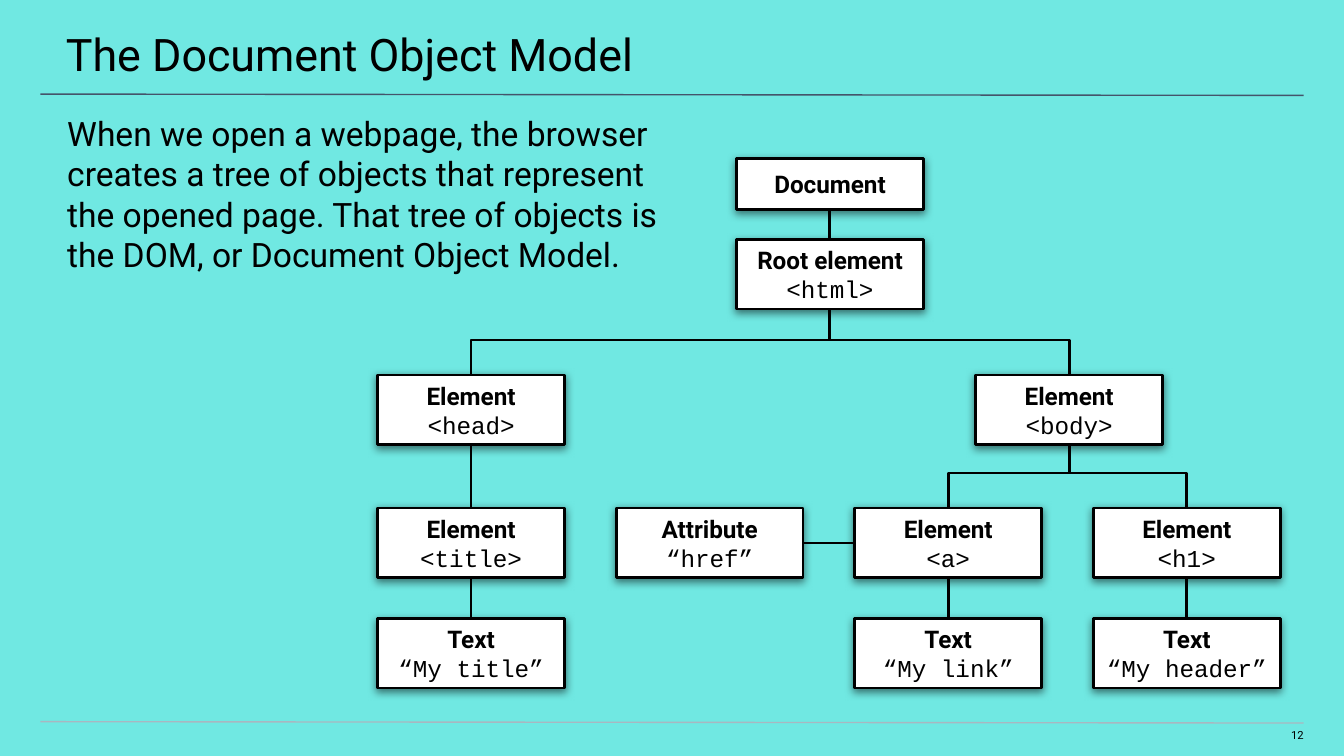
from lxml import etree
from pptx import Presentation
from pptx.dml.color import RGBColor
from pptx.enum.shapes import MSO_CONNECTOR, MSO_SHAPE
from pptx.enum.text import MSO_ANCHOR, MSO_AUTO_SIZE, PP_ALIGN
from pptx.oxml.ns import qn
from pptx.util import Pt

STRAIGHT = MSO_CONNECTOR.STRAIGHT
RECTANGLE = MSO_SHAPE.RECTANGLE
TOP, MIDDLE = MSO_ANCHOR.TOP, MSO_ANCHOR.MIDDLE
LEFT, CENTER, RIGHT = PP_ALIGN.LEFT, PP_ALIGN.CENTER, PP_ALIGN.RIGHT
NO_AUTOFIT = MSO_AUTO_SIZE.NONE

SCALE = 4572
COLORS = {
    "background": "70E8E2",
    "ink": "000000",
    "box": "FFFFFF",
    "header_rule": "44546A",
    "footer_rule": "A9B7C0",
}
SANS, MONO = "Roboto", "Courier New"

BOX_WIDTH, BOX_HEIGHT, DOCUMENT_HEIGHT = 278, 104, 76
COLUMNS = [562 + 355 * column for column in range(4)]
ROOT_LEFT, BODY_LEFT = 1096, 1452
DOCUMENT_TOP, ROOT_TOP, BRANCH_TOP, LEAF_TOP, TEXT_TOP = 236, 356, 558, 756, 920
BRANCH_RISE = 52

NODES = [
    (ROOT_LEFT, ROOT_TOP, "Root element", "<html>"),
    (COLUMNS[0], BRANCH_TOP, "Element", "<head>"),
    (BODY_LEFT, BRANCH_TOP, "Element", "<body>"),
    (COLUMNS[0], LEAF_TOP, "Element", "<title>"),
    (COLUMNS[1], LEAF_TOP, "Attribute", "“href”"),
    (COLUMNS[2], LEAF_TOP, "Element", "<a>"),
    (COLUMNS[3], LEAF_TOP, "Element", "<h1>"),
    (COLUMNS[0], TEXT_TOP, "Text", "“My title”"),
    (COLUMNS[2], TEXT_TOP, "Text", "“My link”"),
    (COLUMNS[3], TEXT_TOP, "Text", "“My header”"),
]


def px(value):
    return value * SCALE


def center(left):
    return left + BOX_WIDTH // 2


class SlideBuilder:
    def __init__(self, slide):
        self.slide = slide
        self.shapes = slide.shapes

    def color(self, name):
        return RGBColor.from_string(COLORS[name])

    def apply(self, target, values):
        for name, value in values.items():
            setattr(target, name, value)

    def background(self):
        fill = self.slide.background.fill
        fill.solid()
        fill.fore_color.rgb = self.color("background")

    def frame(self, shape, insets, anchor=TOP):
        left, top, right, bottom = map(px, insets)
        self.apply(shape.text_frame, {
            "word_wrap": True, "auto_size": NO_AUTOFIT, "vertical_anchor": anchor,
            "margin_left": left, "margin_top": top,
            "margin_right": right, "margin_bottom": bottom,
        })
        return shape.text_frame.paragraphs[0]

    def run(self, paragraph, text, size, font=SANS, bold=False):
        run = paragraph.add_run()
        run.text = text
        self.apply(run.font, {"name": font, "size": Pt(size), "bold": bold})
        run.font.color.rgb = self.color("ink")

    def placeholder(self, index, bounds, insets, text, size):
        shape = self.slide.placeholders[index]
        self.apply(shape, dict(zip(("left", "top", "width", "height"), map(px, bounds))))
        paragraph = self.frame(shape, insets)
        self.apply(paragraph, {"alignment": LEFT, "space_before": Pt(0)})
        self.run(paragraph, text, size)

    def label(self, bounds, insets, text, size):
        shape = self.shapes.add_textbox(*map(px, bounds))
        paragraph = self.frame(shape, insets)
        paragraph.alignment = RIGHT
        self.run(paragraph, text, size)

    def line(self, start, end, color="ink", width=1.5):
        connector = self.shapes.add_connector(STRAIGHT, *map(px, start + end))
        connector.line.color.rgb = self.color(color)
        connector.line.width = Pt(width)
        etree.SubElement(connector._element.spPr, qn("a:effectLst"))

    def branch(self, left, right, bottom):
        top = bottom - BRANCH_RISE
        outline = self.shapes.build_freeform(left, bottom, scale=SCALE)
        outline.add_line_segments([(left, top), (right, top), (right, bottom)], close=False)
        shape = outline.convert_to_shape()
        shape.shadow.inherit = False
        shape.fill.background()
        shape.line.color.rgb = self.color("ink")
        shape.line.width = Pt(1.5)

    def shadow(self, shape):
        shape.shadow.inherit = False
        effects = shape._element.spPr.find(qn("a:effectLst"))
        outer = etree.SubElement(effects, qn("a:outerShdw"), blurRad=str(Pt(4.5)),
                                 dist=str(Pt(1.5)), dir="5400000", algn="bl", rotWithShape="0")
        color = etree.SubElement(outer, qn("a:srgbClr"), val=COLORS["ink"])
        etree.SubElement(color, qn("a:alpha"), val="50000")

    def node(self, left, top, kind, value=None, height=BOX_HEIGHT):
        shape = self.shapes.add_shape(RECTANGLE, *map(px, (left, top, BOX_WIDTH, height)))
        shape.fill.solid()
        shape.fill.fore_color.rgb = self.color("box")
        shape.line.color.rgb = self.color("ink")
        shape.line.width = Pt(1.5)
        self.shadow(shape)
        paragraph = self.frame(shape, (20, 20, 20, 20), MIDDLE)
        paragraph.alignment = CENTER
        self.run(paragraph, kind, 13, bold=True)
        if value:
            paragraph.add_line_break()
            etree.SubElement(paragraph._p[-1], qn("a:rPr"), sz="1300")
            self.run(paragraph, value, 13, MONO)


def main():
    presentation = Presentation()
    presentation.slide_width, presentation.slide_height = px(2000), px(1125)
    builder = SlideBuilder(presentation.slides.add_slide(presentation.slide_layouts[0]))

    builder.background()
    builder.label((1882, 1084, 58, 24), (0, 0, 0, 20), "12", 6)
    builder.line((60, 140), (1940, 142), "header_rule", 0.75)
    builder.line((60, 1074), (1940, 1076), "footer_rule", 0.75)
    builder.placeholder(0, (-2, 0, 2006, 116), (100, 40, 60, 20),
                        "The Document Object Model", 24)
    builder.placeholder(1, (0, 148, 1106, 242), (100, 20, 100, 0),
                        "When we open a webpage, the browser creates a tree of objects that "
                        "represent the opened page. That tree of objects is the DOM, or "
                        "Document Object Model.", 18)

    title_x, link_x, header_x = (center(COLUMNS[column]) for column in (0, 2, 3))
    root_x, body_x = center(ROOT_LEFT), center(BODY_LEFT)
    for x, top, bottom in [
        (root_x, DOCUMENT_TOP + DOCUMENT_HEIGHT, 508),
        (title_x, BRANCH_TOP + BOX_HEIGHT, LEAF_TOP),
        (body_x, BRANCH_TOP + BOX_HEIGHT, 706),
        (title_x, LEAF_TOP + BOX_HEIGHT, TEXT_TOP),
        (link_x, LEAF_TOP + BOX_HEIGHT, TEXT_TOP),
        (header_x, LEAF_TOP + BOX_HEIGHT, TEXT_TOP),
    ]:
        builder.line((x, top), (x, bottom))
    attribute_y = LEAF_TOP + BOX_HEIGHT // 2
    builder.line((COLUMNS[1] + BOX_WIDTH, attribute_y), (COLUMNS[2], attribute_y))
    builder.branch(title_x, body_x, BRANCH_TOP)
    builder.branch(link_x, header_x, LEAF_TOP)

    builder.node(ROOT_LEFT, DOCUMENT_TOP, "Document", height=DOCUMENT_HEIGHT)
    for node in NODES:
        builder.node(*node)

    presentation.save("out.pptx")


if __name__ == "__main__":
    main()
